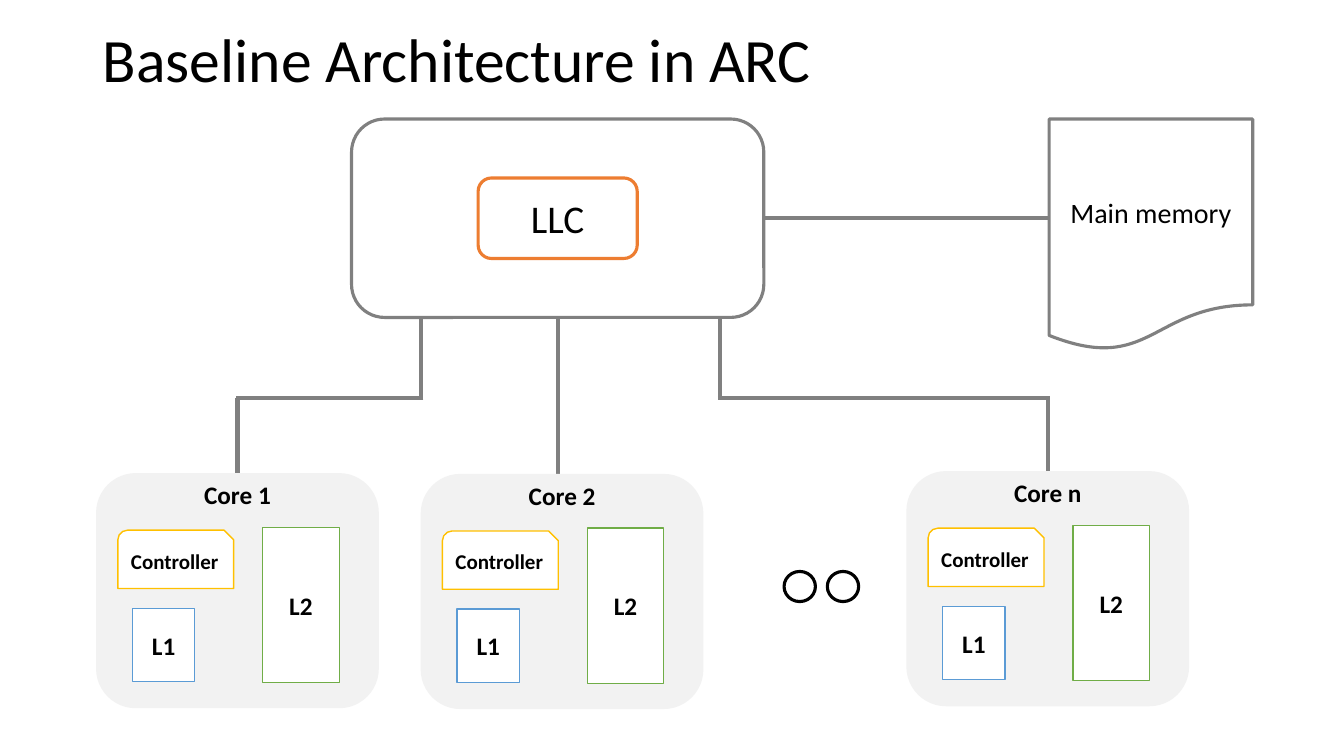
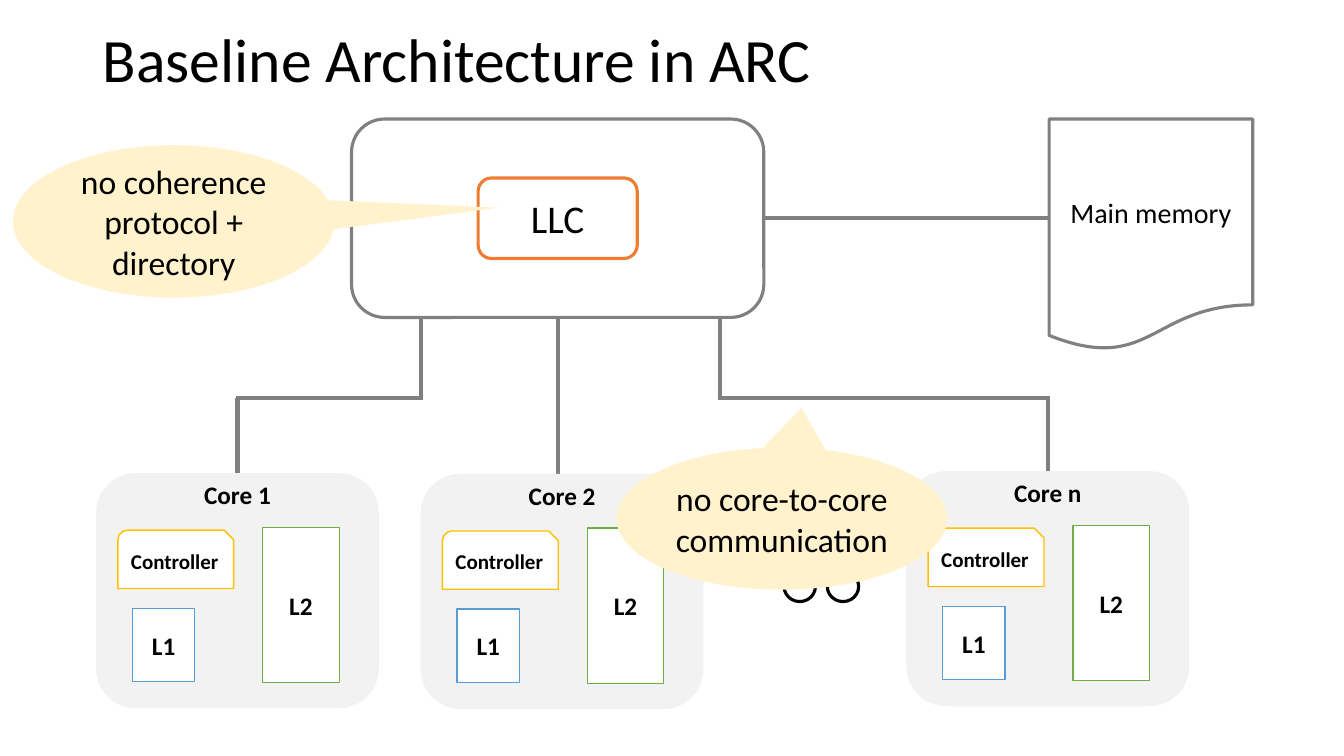
import pptx
import pptx.dml.color
import pptx.enum.shapes
import pptx.enum.text
import pptx.oxml
import pptx.util
from pptx.util import Cm

SHAPE = pptx.enum.shapes.MSO_SHAPE
ALIGN = pptx.enum.text.PP_ALIGN
ANCHOR = pptx.enum.text.MSO_ANCHOR

FONT = "Calibri"
COLOURS = {
    "text": "000000",
    "white": "FFFFFF",
    "link": "808080",
    "core": "F2F2F2",
    "llc": "ED7D31",
    "controller": "FFC000",
    "l1": "5B9BD5",
    "l2": "70AD47",
    "callout": "FFF2CC",
}

# Boxes are (left, top, width, height) in centimetres.
TITLE_BOX = (2.34, 0.36, 29.21, 2.44)
CHIP_BOX = (8.86, 3, 10.39, 5)
MEMORY_BOX = (26.44, 3, 5.13, 5.84)
DOTS_BOX = (19.76, 14.4, 1.88, 0.76)
CORE_SIZE = (7.09, 5.89)
CORES = [("Core 1", 2.44, 11.94), ("Core 2", 10.62, 11.96), ("Core n", 22.86, 11.89)]
CHIP_PORTS = [10.62, 14.07, 18.14]
BUS_TOP = 10.03
LINK_WIDTH = 3

# Name, shape, colour, text size, box relative to the core.
CORE_PARTS = [
    ("Controller", SHAPE.SNIP_ROUND_RECTANGLE, "controller", 15, (0.53, 1.42, 2.92, 1.47)),
    ("L1", SHAPE.RECTANGLE, "l1", 18, (0.9, 3.39, 1.57, 1.85)),
    ("L2", SHAPE.RECTANGLE, "l2", 18, (4.18, 1.35, 1.93, 3.91)),
]

# Text, box, position of the tip relative to the box.
CALLOUTS = [
    ("no coherence protocol + directory", (0.33, 3.66, 8.1, 3.84), (1.01, -0.09)),
    ("no core-to-core communication", (15.54, 11.28, 8.33, 3.58), (0.06, -0.78)),
]


def colour(name):
    return pptx.dml.color.RGBColor.from_string(COLOURS[name])


def lengths(box):
    return [Cm(value) for value in box]


def write(shape, text, size, bold=False, align=ALIGN.CENTER, anchor=ANCHOR.MIDDLE):
    frame = shape.text_frame
    frame.text = text
    frame.vertical_anchor = anchor
    paragraph = frame.paragraphs[0]
    paragraph.alignment = align
    paragraph.font.name = FONT
    paragraph.font.size = pptx.util.Pt(size)
    paragraph.font.bold = bold
    paragraph.font.color.rgb = colour("text")
    return paragraph


def add_box(shapes, kind, box, fill="white", line=None, line_width=1.0):
    shape = shapes.add_shape(kind, *lengths(box))
    shape.shadow.inherit = False
    shape.fill.solid()
    shape.fill.fore_color.rgb = colour(fill)
    if line:
        shape.line.color.rgb = colour(line)
        shape.line.width = pptx.util.Pt(line_width)
    else:
        shape.line.fill.background()
    return shape


def add_link(shapes, start, end):
    link = shapes.add_connector(
        pptx.enum.shapes.MSO_CONNECTOR.STRAIGHT, *lengths(start + end))
    link.line.color.rgb = colour("link")
    link.line.width = pptx.util.Pt(LINK_WIDTH)
    link.element.spPr.append(pptx.oxml.parse_xml(
        '<a:effectLst xmlns:a="http://schemas.openxmlformats.org/drawingml/2006/main"/>'))


def add_title(slide, text, box):
    title = slide.shapes.title
    title.left, title.top, title.width, title.height = lengths(box)
    paragraph = write(title, text, 44, align=ALIGN.LEFT)
    paragraph.line_spacing = 0.9


def add_core_link(shapes, port, chip_bottom, core_centre, core_top):
    """Join a chip port to a core, by way of the bus line if they are not aligned."""
    if abs(port - core_centre) < 0.2:
        add_link(shapes, (port, chip_bottom), (port, core_top))
        return
    corner = 0.05 if core_centre > port else -0.05
    add_link(shapes, (port, chip_bottom), (port, BUS_TOP))
    add_link(shapes, (port - corner, BUS_TOP), (core_centre + corner, BUS_TOP))
    add_link(shapes, (core_centre, BUS_TOP), (core_centre, core_top))


def add_links(shapes):
    left, top, width, height = CHIP_BOX
    for port, (_, core_left, core_top) in zip(CHIP_PORTS, CORES):
        add_core_link(shapes, port, top + height, core_left + CORE_SIZE[0] / 2, core_top)
    middle = top + height / 2
    add_link(shapes, (left + width, middle), (MEMORY_BOX[0], middle))


def add_chip(shapes, box):
    left, top, width, height = box
    add_box(shapes, SHAPE.ROUNDED_RECTANGLE, box, line="link", line_width=2.25)
    llc_width, llc_height = 4.01, 2.03
    llc_box = (left + (width - llc_width) / 2, top + (height - llc_height) / 2,
               llc_width, llc_height)
    llc = add_box(shapes, SHAPE.ROUNDED_RECTANGLE, llc_box, line="llc", line_width=2.25)
    write(llc, "LLC", 28)


def add_memory(shapes, box):
    memory = add_box(shapes, SHAPE.FLOWCHART_DOCUMENT, box, line="link", line_width=2.25)
    write(memory, "Main memory", 20)


def add_core(shapes, name, box):
    left, top, width, _ = box
    core = shapes.add_group_shape().shapes
    add_box(core, SHAPE.ROUNDED_RECTANGLE, box, fill="core", line="core")
    label = core.add_textbox(*lengths((left, top + 0.02, width, 1.02)))
    label.text_frame.word_wrap = True
    write(label, name, 18, bold=True, anchor=ANCHOR.TOP)
    for text, kind, line, size, (x, y, part_width, part_height) in CORE_PARTS:
        part = add_box(core, kind, (left + x, top + y, part_width, part_height), line=line)
        write(part, text, size, bold=True)


def add_dots(shapes, box):
    """Two rings that stand for the cores between the second and the last."""
    left, top, width, height = box
    dots = shapes.add_group_shape().shapes
    diameter = 0.79
    for dot_left in (left, left + width - diameter):
        add_box(dots, SHAPE.OVAL, (dot_left, top, diameter, height),
                line="text", line_width=2.25)


def add_callout(shapes, text, box, tip):
    callout = add_box(shapes, SHAPE.OVAL_CALLOUT, box, fill="callout")
    callout.adjustments[0], callout.adjustments[1] = tip
    write(callout, text, 24)


def add_architecture_slide(presentation, callouts=()):
    slide = presentation.slides.add_slide(presentation.slide_layouts[5])
    shapes = slide.shapes
    add_title(slide, "Baseline Architecture in ARC", TITLE_BOX)
    add_links(shapes)
    add_chip(shapes, CHIP_BOX)
    add_memory(shapes, MEMORY_BOX)
    add_dots(shapes, DOTS_BOX)
    for name, left, top in CORES:
        add_core(shapes, name, (left, top) + CORE_SIZE)
    for callout in callouts:
        add_callout(shapes, *callout)


def main():
    presentation = pptx.Presentation()
    presentation.slide_width = Cm(33.87)
    presentation.slide_height = Cm(19.05)
    add_architecture_slide(presentation)
    add_architecture_slide(presentation, CALLOUTS)
    presentation.save("out.pptx")


if __name__ == "__main__":
    main()
